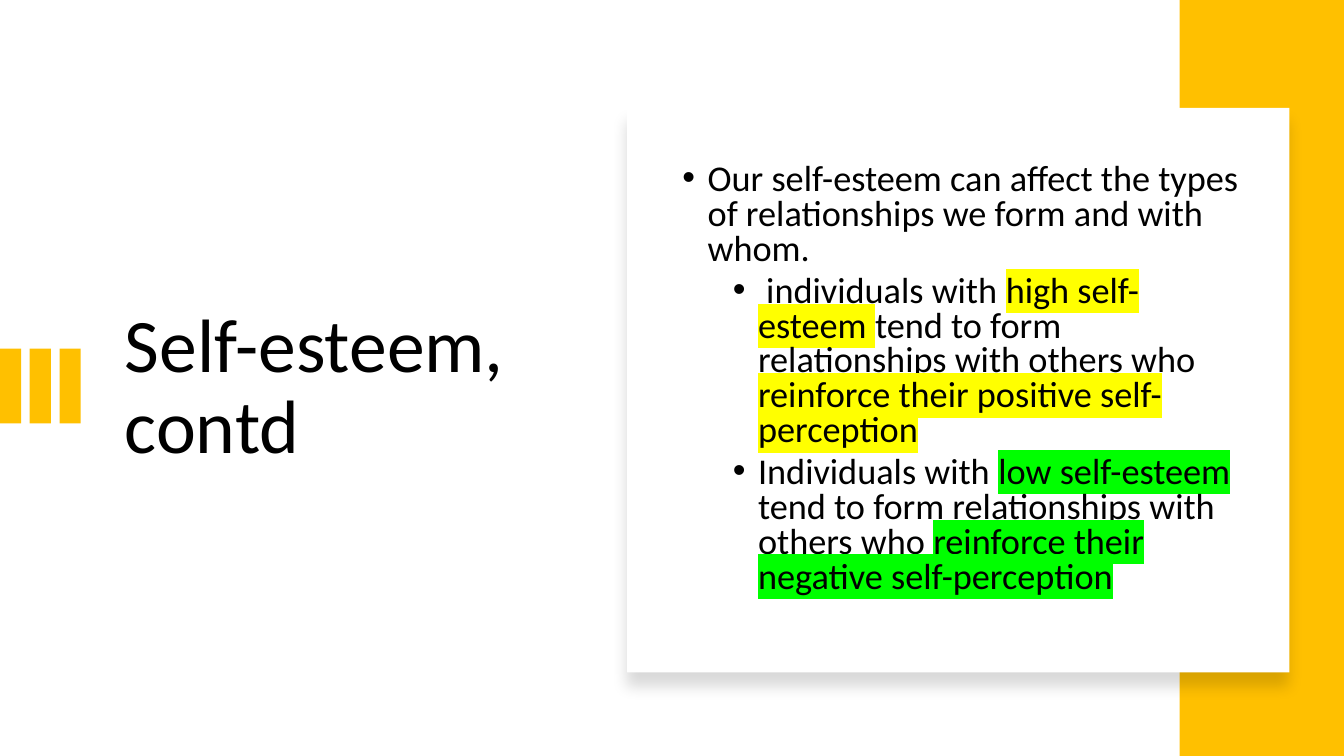
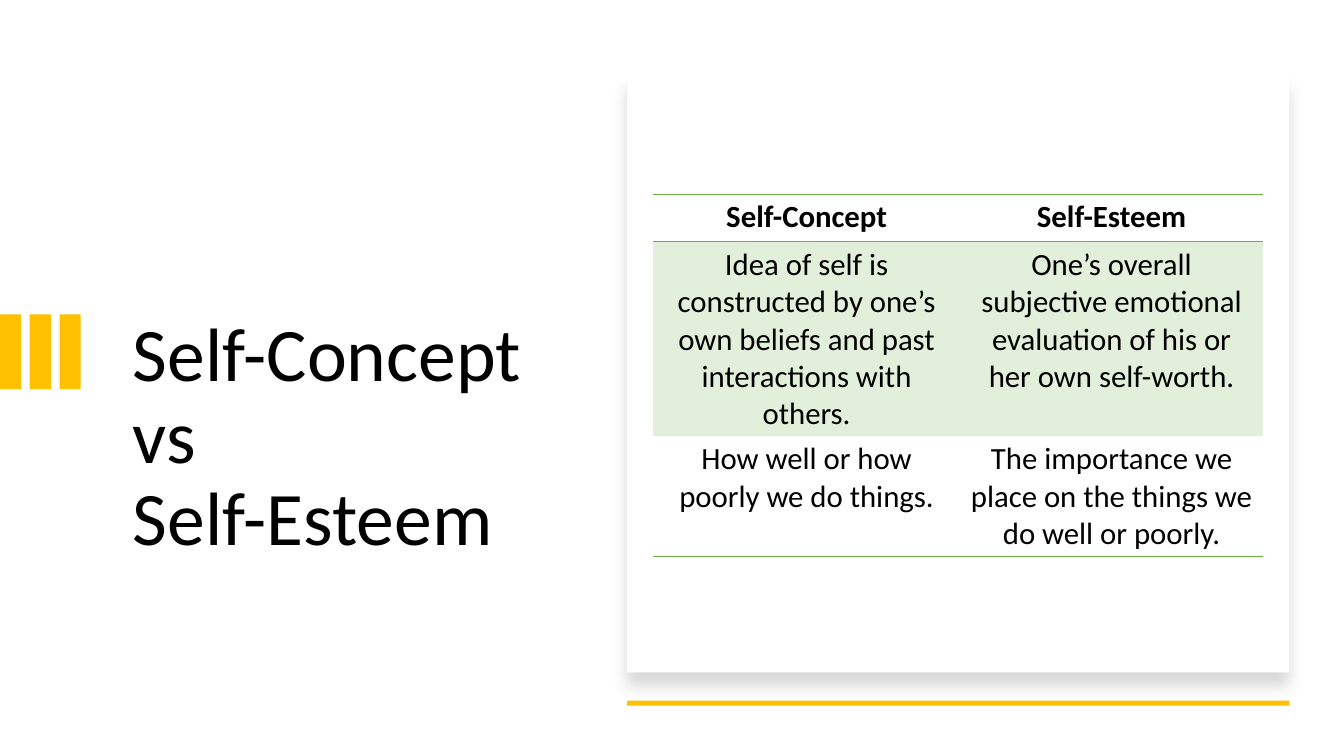
from dataclasses import dataclass

from lxml import etree
from pptx import Presentation
from pptx.dml.color import RGBColor
from pptx.enum.shapes import MSO_SHAPE
from pptx.enum.text import MSO_ANCHOR, PP_ALIGN
from pptx.oxml.ns import qn
from pptx.util import Inches, Pt

RECT = MSO_SHAPE.RECTANGLE
TOP, MIDDLE = MSO_ANCHOR.TOP, MSO_ANCHOR.MIDDLE
CENTER = PP_ALIGN.CENTER


@dataclass(frozen=True)
class Theme:
    font: str = "Calibri"
    ink: str = "000000"
    paper: str = "FFFFFF"
    gold: str = "FFC000"
    green: str = "70AD47"
    pale: str = "E2EFDA"
    yellow: str = "FFFF00"
    lime: str = "00FF00"
    title: float = 54
    body: float = 25.9
    cell: float = 22


@dataclass(frozen=True)
class Box:
    left: float
    top: float
    width: float
    height: float

    def lengths(self) -> tuple:
        return tuple(map(Inches, (self.left, self.top, self.width, self.height)))


@dataclass(frozen=True)
class Span:
    text: str
    mark: str = ""


@dataclass(frozen=True)
class Point:
    level: int
    spans: tuple


THEME = Theme()
CARD_X, CARD_W, CARD_END = 6.22, 6.57, 6.67

POINTS = (
    Point(0, (Span("Our self-esteem can affect the types of relationships we form and with whom."),)),
    Point(1, (
        Span(" individuals with "),
        Span("high self-esteem ", THEME.yellow),
        Span("tend to form relationships with others who "),
        Span("reinforce their positive self-perception", THEME.yellow),
    )),
    Point(1, (
        Span("Individuals with "),
        Span("low self-esteem ", THEME.lime),
        Span("tend to form relationships with others who "),
        Span("reinforce their negative self-perception", THEME.lime),
    )),
)

ROWS = (
    ("Self-Concept", "Self-Esteem"),
    ("Idea of self is constructed by one’s own beliefs and past interactions with others.",
     "One’s overall subjective emotional evaluation of his or her own self-worth."),
    ("How well or how poorly we do things.",
     "The importance we place on the things we do well or poorly."),
)
WIDTHS = (3.04, 3.01)
HEIGHTS = (0.47, 1.93, 1.19)
RULED = (0, 1, 3)  # row edges that carry a line
BANDED = 1


def child(parent, tag: str, **attrs):
    return etree.SubElement(parent, qn(tag), attrs)


def add_run(para, text: str, size: float, bold: bool = False, mark: str = "") -> None:
    run = para.add_run()
    run.text = text
    font = run.font
    font.name, font.size, font.bold = THEME.font, Pt(size), bold
    font.color.rgb = RGBColor.from_string(THEME.ink)
    if mark:
        props = run._r.get_or_add_rPr()
        light = child(props, "a:highlight")
        child(light, "a:srgbClr", val=mark)
        props.find(qn("a:solidFill")).addnext(light)


def add_rect(shapes, box: Box, color: str):
    rect = shapes.add_shape(RECT, *box.lengths())
    rect.shadow.inherit = False
    rect.fill.solid()
    rect.fill.fore_color.rgb = RGBColor.from_string(color)
    rect.line.fill.background()
    return rect


def add_card(slide, top: float) -> None:
    """Draw the white panel with a soft shadow below it."""
    card = add_rect(slide.shapes, Box(CARD_X, top, CARD_W, CARD_END - top), THEME.paper)
    effects = card._element.spPr.find(qn("a:effectLst"))
    shade = child(effects, "a:outerShdw", blurRad=str(Pt(11)), dist=str(Pt(10)),
                  dir="5400000", algn="t", rotWithShape="0")
    color = child(shade, "a:srgbClr", val=THEME.ink)
    child(color, "a:alpha", val="15000")


def add_bars(slide, top: float) -> None:
    """Draw the three gold bars at the left edge."""
    count, width, total = 3, 0.21, 0.8
    pitch = (total - width) / (count - 1)
    group = slide.shapes.add_group_shape()
    for i in range(count):
        add_rect(group.shapes, Box(i * pitch, top, width, 0.74), THEME.gold)


def add_frame(slide, box: Box, anchor):
    frame = slide.shapes.add_textbox(*box.lengths()).text_frame
    frame.word_wrap = True
    frame.vertical_anchor = anchor
    return frame


def add_title(slide, box: Box, lines: tuple, anchor) -> None:
    para = add_frame(slide, box, anchor).paragraphs[0]
    para.line_spacing = 0.9
    for i, line in enumerate(lines):
        if i:
            para.add_line_break()
        add_run(para, line, THEME.title)


def add_points(slide, box: Box, points: tuple) -> None:
    frame = add_frame(slide, box, MIDDLE)
    frame.margin_bottom = Inches(0.22)
    for i, point in enumerate(points):
        para = frame.add_paragraph() if i else frame.paragraphs[0]
        para.level = point.level
        para.line_spacing = 0.8
        para.space_before = Pt(5 if i else 0)
        props = para._p.get_or_add_pPr()
        props.set("marL", str(Inches(0.25 + 0.5 * point.level)))
        props.set("indent", str(Inches(-0.25)))
        child(props, "a:buFont", typeface="Arial")
        child(props, "a:buChar", char="•")
        for span in point.spans:
            add_run(para, span.text, THEME.body, mark=span.mark)


def set_edges(cell, row: int) -> None:
    ruled = {"a:lnL": False, "a:lnR": False,
             "a:lnT": row in RULED, "a:lnB": row + 1 in RULED}
    props = cell._tc.get_or_add_tcPr()
    for tag, drawn in ruled.items():
        line = child(props, tag, w=str(Pt(1)))
        if drawn:
            child(child(line, "a:solidFill"), "a:srgbClr", val=THEME.green)
        else:
            child(line, "a:noFill")


def fill_cell(cell, row: int, text: str) -> None:
    cell.margin_left = cell.margin_right = Inches(0.08)
    cell.margin_top = cell.margin_bottom = Inches(0.04)
    set_edges(cell, row)
    if row == BANDED:
        cell.fill.solid()
        cell.fill.fore_color.rgb = RGBColor.from_string(THEME.pale)
    else:
        cell.fill.background()
    para = cell.text_frame.paragraphs[0]
    para.alignment = CENTER
    add_run(para, text, THEME.cell, bold=row == 0)


def add_grid(slide, left: float, top: float) -> None:
    box = Box(left, top, sum(WIDTHS), sum(HEIGHTS))
    table = slide.shapes.add_table(len(ROWS), len(WIDTHS), *box.lengths()).table
    table.first_row = table.horz_banding = False
    for column, width in zip(table.columns, WIDTHS):
        column.width = Inches(width)
    for r, texts in enumerate(ROWS):
        table.rows[r].height = Inches(HEIGHTS[r])
        for c, text in enumerate(texts):
            fill_cell(table.cell(r, c), r, text)


def build_esteem(slide) -> None:
    add_title(slide, Box(1.14, 1.46, 4.26, 4.79), ("Self-esteem, contd",), MIDDLE)
    add_bars(slide, 3.46)
    add_rect(slide.shapes, Box(11.7, 0, 1.63, 7.5), THEME.gold)
    add_card(slide, 1.07)
    add_points(slide, Box(6.67, 1.46, 5.75, 4.79), POINTS)


def build_versus(slide) -> None:
    add_title(slide, Box(1.22, 3.09, 4.41, 2.61), ("Self-Concept vs ", "Self-Esteem"), TOP)
    add_bars(slide, 3.12)
    add_card(slide, 0.74)
    add_rect(slide.shapes, Box(CARD_X, 6.95, CARD_W, 0.05), THEME.gold)
    add_grid(slide, 6.48, 1.93)


def main() -> None:
    deck = Presentation()
    deck.slide_width, deck.slide_height = Inches(13.33), Inches(7.5)
    blank = deck.slide_layouts[6]
    for build in (build_esteem, build_versus):
        build(deck.slides.add_slide(blank))
    deck.save("out.pptx")


if __name__ == "__main__":
    main()
